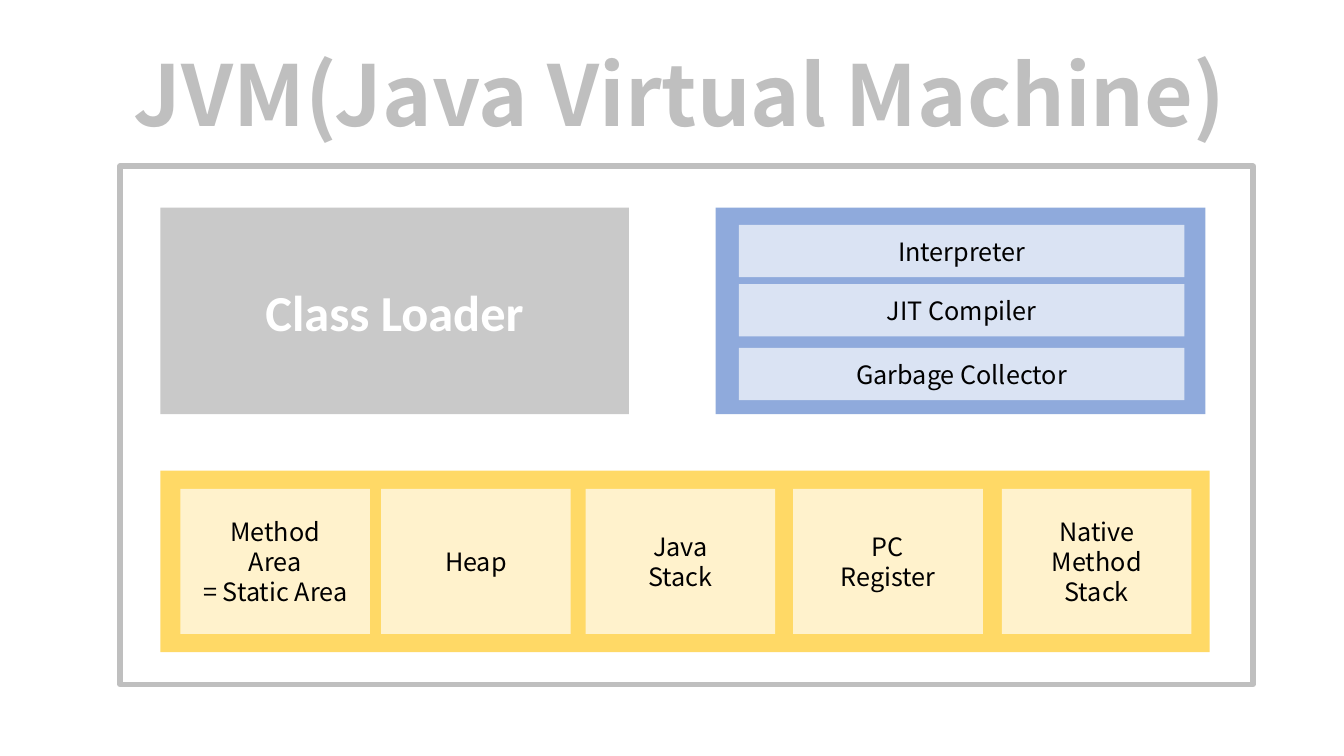
from pptx import Presentation
from pptx.dml.color import RGBColor
from pptx.enum.shapes import MSO_SHAPE as Shape
from pptx.enum.text import MSO_ANCHOR as Anchor, PP_ALIGN as Align
from pptx.util import Pt

NOTO = "Noto Sans CJK KR"
TITLE = {"name": NOTO, "size": Pt(60), "bold": True, "color": "BFBFBF"}
LOADER = {"name": "Calibri", "size": Pt(36), "bold": True, "color": "FFFFFF"}
PART = {"name": NOTO, "size": Pt(18), "color": "000000"}

ENGINE_PARTS = [
    (160.6, "Interpreter"),
    (203, "JIT Compiler"),
    (248.4, "Garbage Collector"),
]
MEMORY_AREAS = [
    (128.9, ["Method", "Area", "= Static Area"]),
    (272.2, ["Heap"]),
    (418.3, ["Java", "Stack"]),
    (566.6, ["PC", "Register"]),
    (715.7, ["Native", "Method", "Stack"]),
]


def rgb(value):
    return RGBColor.from_string(value)


def write(frame, lines, style, line_spacing=None):
    """Fill a text frame with centred lines, one paragraph each."""
    frame.word_wrap = True
    frame.vertical_anchor = Anchor.MIDDLE
    for index, line in enumerate(lines):
        paragraph = frame.paragraphs[0] if index == 0 else frame.add_paragraph()
        paragraph.alignment = Align.CENTER
        paragraph.line_spacing = line_spacing
        run = paragraph.add_run()
        run.text = line
        for key, value in style.items():
            if key == "color":
                run.font.color.rgb = rgb(value)
            else:
                setattr(run.font, key, value)


def add_block(slide, bounds, fill, lines=(), style=PART):
    block = slide.shapes.add_shape(Shape.RECTANGLE, *map(Pt, bounds))
    block.shadow.inherit = False
    block.fill.solid()
    block.fill.fore_color.rgb = rgb(fill)
    block.line.fill.background()
    if lines:
        write(block.text_frame, lines, style)


def add_frame(slide, bounds, color, width):
    frame = slide.shapes.add_shape(Shape.RECTANGLE, *map(Pt, bounds))
    frame.shadow.inherit = False
    frame.fill.background()
    frame.line.color.rgb = rgb(color)
    frame.line.width = Pt(width)


def add_title(slide, bounds, text):
    title = slide.shapes.add_textbox(*map(Pt, bounds))
    write(title.text_frame, [text], TITLE, line_spacing=0.9)


def main():
    deck = Presentation()
    deck.slide_width, deck.slide_height = Pt(960), Pt(540)
    slide = deck.slides.add_slide(deck.slide_layouts[6])

    add_frame(slide, (85.7, 118.8, 809.3, 370.1), "BFBFBF", 4)
    add_title(slide, (31.7, 35.3, 907.2, 72), "JVM(Java Virtual Machine)")
    add_block(slide, (114.5, 148.3, 334.8, 147.6), "C9C9C9", ["Class Loader"], LOADER)

    add_block(slide, (511.2, 148.3, 349.9, 147.6), "8FAADC")
    for top, name in ENGINE_PARTS:
        add_block(slide, (527.8, top, 318.2, 37.4), "DAE3F3", [name])

    add_block(slide, (114.5, 336.2, 749.5, 129.6), "FFD966")
    for left, lines in MEMORY_AREAS:
        add_block(slide, (left, 349.2, 135.4, 103.7), "FFF2CC", lines)

    deck.save("out.pptx")


if __name__ == "__main__":
    main()
